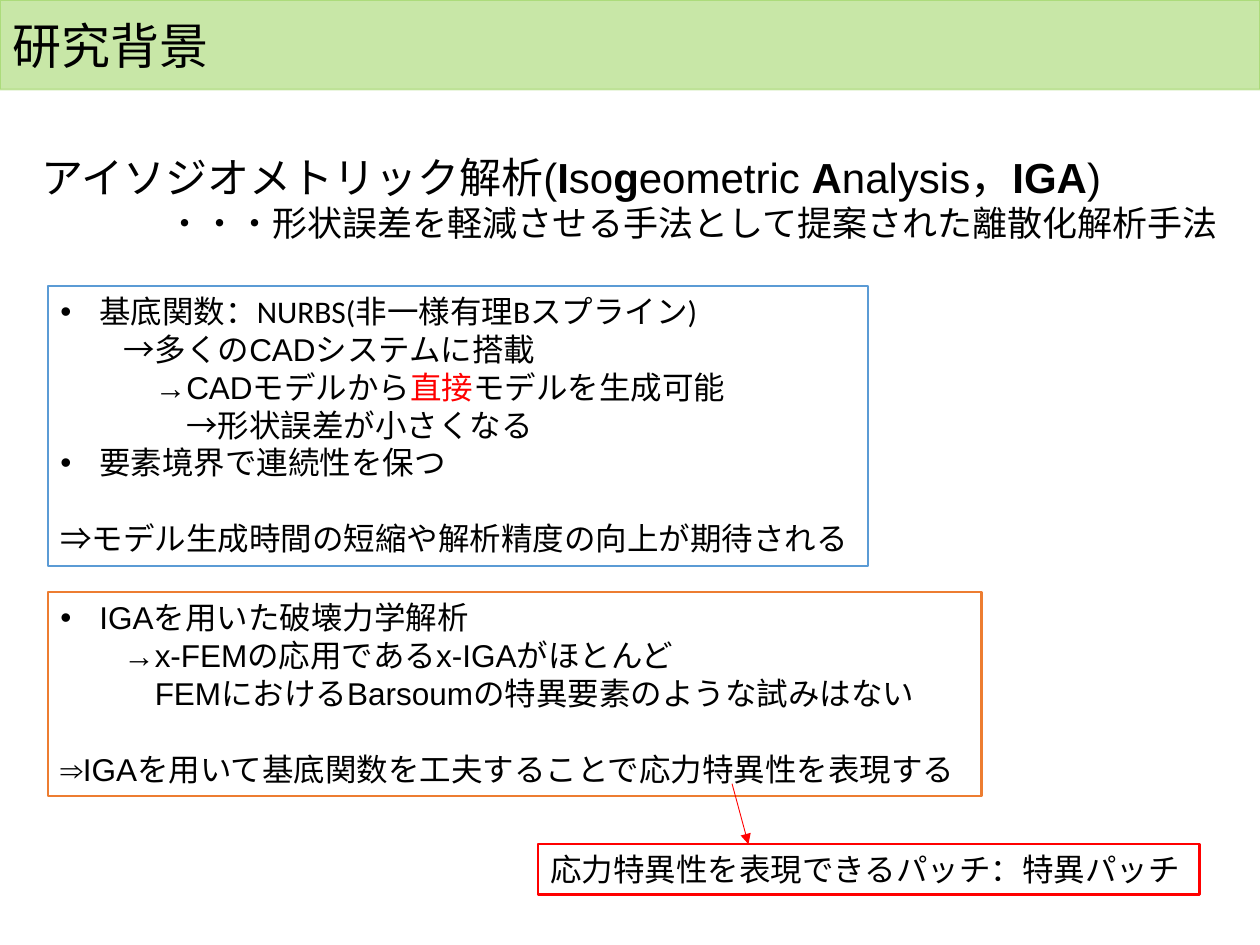
from dataclasses import dataclass

from lxml.etree import SubElement
from pptx import Presentation
from pptx.dml.color import RGBColor
from pptx.enum.shapes import MSO_CONNECTOR, MSO_SHAPE
from pptx.enum.text import MSO_ANCHOR, MSO_AUTO_SIZE, PP_ALIGN
from pptx.oxml.ns import qn
from pptx.util import Inches, Pt

COLUMNS, ROWS = 40, 30
CELL = Inches(0.25)
BULLET_INDENT = 0.31
LINE_SPACING = 1.2
COLORS = {
    "text": "000000",
    "red": "FF0000",
    "blue": "5B9BD5",
    "orange": "ED7D31",
    "green": "92D050",
}


@dataclass(frozen=True)
class Span:
    text: str
    font: str = "Arial"
    color: str = "text"
    bold: bool = False


@dataclass(frozen=True)
class Line:
    spans: tuple[Span, ...]
    size: int = 18
    indent: float = 0  # inches
    bullet: bool = False
    gap_lines: int = 0


@dataclass(frozen=True)
class Box:
    column: float
    row: float
    columns: float
    rows: float
    lines: tuple[Line, ...]
    border: str | None = None


def cells(*counts: float) -> list[int]:
    return [round(count * CELL) for count in counts]


def rgb(name: str) -> RGBColor:
    return RGBColor.from_string(COLORS[name])


def full_width(count: int) -> float:
    """Width in inches of that many 18-point full-width characters."""
    return count * 18 / 72


def write_line(paragraph, line: Line) -> None:
    paragraph.text = ""
    paragraph.alignment = PP_ALIGN.LEFT
    if line.gap_lines:
        paragraph.space_before = Pt(line.gap_lines * line.size * LINE_SPACING)
    properties = paragraph._p.get_or_add_pPr()
    indent = BULLET_INDENT if line.bullet else line.indent
    properties.set("marL", str(Inches(indent)))
    if line.bullet:
        properties.set("indent", str(-Inches(indent)))
        SubElement(properties, qn("a:buFont"), typeface="Arial")
        SubElement(properties, qn("a:buChar"), char="•")
    for span in line.spans:
        run = paragraph.add_run()
        run.text = span.text
        run.font.name = span.font
        run.font.size = Pt(line.size)
        run.font.bold = span.bold
        run.font.color.rgb = rgb(span.color)


def draw_box(slide, box: Box) -> None:
    shape = slide.shapes.add_textbox(*cells(box.column, box.row, box.columns, box.rows))
    if box.border:
        shape.line.color.rgb = rgb(box.border)
        shape.line.width = Pt(1.25)
    text_frame = shape.text_frame
    text_frame.word_wrap = box.border is None
    text_frame.auto_size = MSO_AUTO_SIZE.SHAPE_TO_FIT_TEXT
    for index, line in enumerate(box.lines):
        paragraph = text_frame.add_paragraph() if index else text_frame.paragraphs[0]
        write_line(paragraph, line)


def draw_banner(slide, title: Line) -> None:
    shape = slide.shapes.add_shape(MSO_SHAPE.RECTANGLE, *cells(0, 0, COLUMNS, 2.84))
    shape.shadow.inherit = False
    shape.fill.solid()
    shape.fill.fore_color.rgb = rgb("green")
    shape.line.color.rgb = rgb("green")
    shape.line.width = Pt(1)
    for color in shape._element.spPr.iter(qn("a:srgbClr")):
        SubElement(color, qn("a:alpha"), val="50000")
    shape.text_frame.vertical_anchor = MSO_ANCHOR.MIDDLE
    write_line(shape.text_frame.paragraphs[0], title)


def draw_arrow(slide, start: tuple[float, float], end: tuple[float, float]) -> None:
    arrow = slide.shapes.add_connector(MSO_CONNECTOR.STRAIGHT, *cells(*start, *end))
    arrow.line.color.rgb = rgb("red")
    arrow.line.width = Pt(0.5)
    SubElement(arrow.line._get_or_add_ln(), qn("a:tailEnd"), type="triangle")
    SubElement(arrow._element.spPr, qn("a:effectLst"))


HEADING = Box(0.92, 4.6, 38.2, 3.36, (
    Line((
        Span("アイソジオメトリック解析("),
        Span("I", bold=True),
        Span("so"),
        Span("g", bold=True),
        Span("eometric "),
        Span("A", bold=True),
        Span("nalysis，"),
        Span("IGA", bold=True),
        Span(")"),
    ), size=24),
    Line((Span("・・・形状誤差を軽減させる手法として提案された離散化解析手法"),), size=20, indent=1),
))

FEATURES = Box(1.52, 9.08, 26.04, 8.88, (
    Line((Span("基底関数：NURBS(非一様有理Bスプライン)", font="Calibri"),), bullet=True),
    Line((Span("→", font="Calibri"), Span("多くのCADシステムに搭載")), indent=full_width(2)),
    Line((
        Span("→CADモデルから"),
        Span("直接", color="red"),
        Span("モデルを生成可能"),
    ), indent=full_width(3)),
    Line((Span("→形状誤差が小さくなる"),), indent=full_width(4)),
    Line((Span("要素境界で連続性を保つ"),), bullet=True),
    Line((Span("⇒モデル生成時間の短縮や解析精度の向上が期待される"),), gap_lines=1),
), "blue")

FRACTURE = Box(1.52, 18.8, 29.64, 6.48, (
    Line((Span("IGAを用いた破壊力学解析"),), bullet=True),
    Line((Span("→x-FEMの応用であるx-IGAがほとんど"),), indent=full_width(2)),
    Line((Span("FEMにおけるBarsoumの特異要素のような試みはない"),), indent=full_width(3)),
    Line((Span("⇒IGAを用いて基底関数を工夫することで応力特異性を表現する"),), gap_lines=1),
), "orange")

PATCH = Box(17.08, 26.8, 21, 1.6, (
    Line((Span("応力特異性を表現できるパッチ：特異パッチ", font="Calibri"),)),
), "red")


def main() -> None:
    presentation = Presentation()
    presentation.slide_width, presentation.slide_height = cells(COLUMNS, ROWS)
    slide = presentation.slides.add_slide(presentation.slide_layouts[6])
    for box in (HEADING, FEATURES, FRACTURE, PATCH):
        draw_box(slide, box)
    draw_arrow(slide, (23.24, 24.88), (23.76, PATCH.row))
    draw_banner(slide, Line((Span("研究背景"),), size=28))
    presentation.save("out.pptx")


if __name__ == "__main__":
    main()
